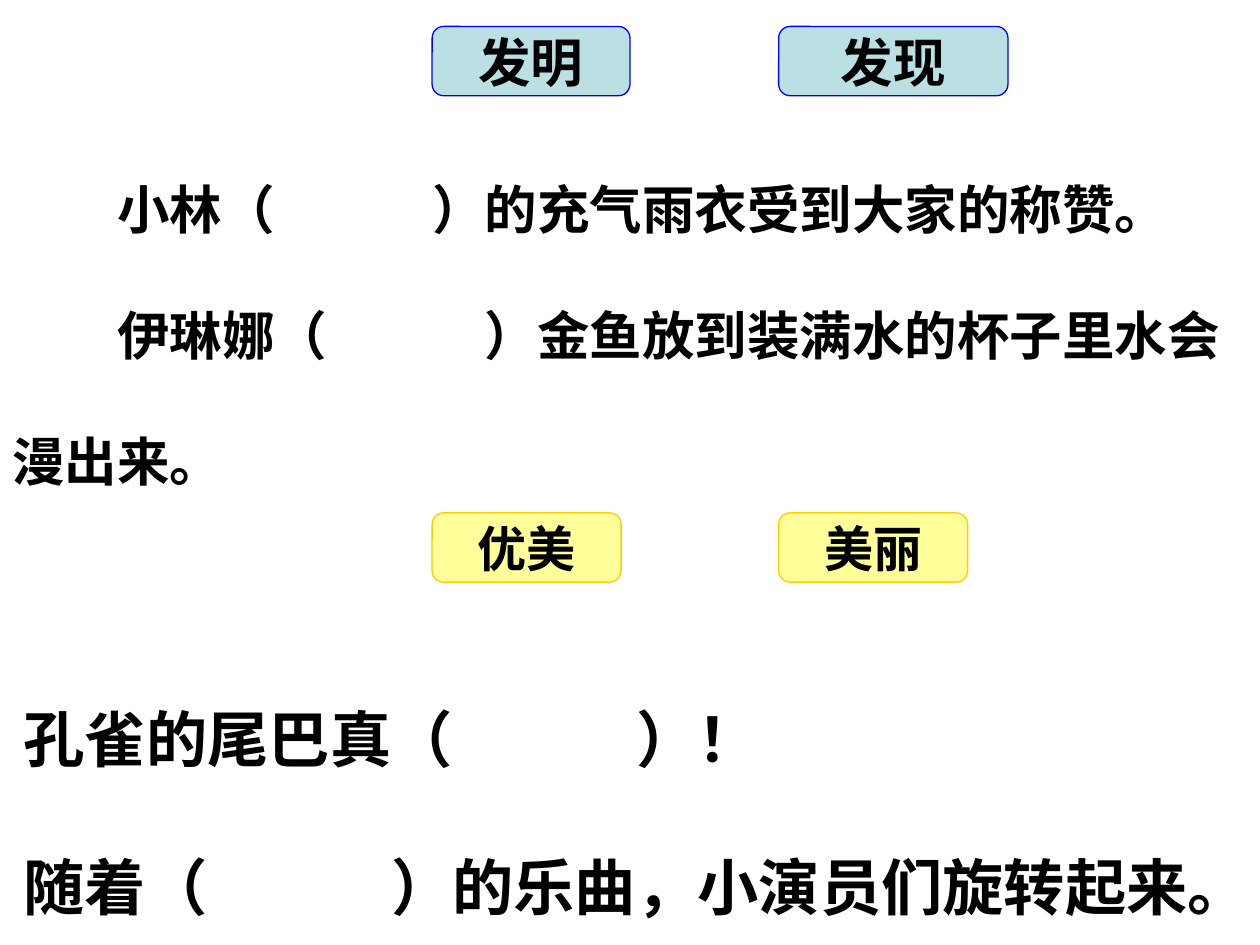
import pptx
import pptx.dml.color
import pptx.enum.shapes
import pptx.enum.text
import pptx.oxml.ns
import pptx.util
from lxml import etree

Inches = pptx.util.Inches
Pt = pptx.util.Pt
RGBColor = pptx.dml.color.RGBColor
Shape = pptx.enum.shapes.MSO_SHAPE
Anchor = pptx.enum.text.MSO_ANCHOR
Align = pptx.enum.text.PP_ALIGN

BLACK = RGBColor(0x00, 0x00, 0x00)
WHITE = RGBColor(0xFF, 0xFF, 0xFF)
PALE_TEAL = RGBColor(0xBB, 0xE0, 0xE3)
BLUE = RGBColor(0x00, 0x00, 0xFF)
PALE_YELLOW = RGBColor(0xFF, 0xFF, 0x99)
GOLD = RGBColor(0xFF, 0xCC, 0x00)

INDENT_WIDTH = 2
BLANK_WIDTH = 3
LINE_RATIO = 1.2


def add_text(para, text, size):
    span = para.add_run()
    span.text = text
    span.font.name = "Arial"
    span.font.size = Pt(size)
    span.font.bold = True
    span.font.color.rgb = BLACK


def add_tab_stops(para, text, size):
    properties = para._p.get_or_add_pPr()
    tabs = etree.SubElement(properties, pptx.oxml.ns.qn("a:tabLst"))
    position = 0
    for part in text.split("\t")[:-1]:
        position += len(part) + BLANK_WIDTH if part else INDENT_WIDTH
        etree.SubElement(tabs, pptx.oxml.ns.qn("a:tab"),
                         pos=str(Pt(position * size)), algn="l")


def add_word_card(page, word, left, top, width, size, fill, line):
    card = page.shapes.add_shape(
        Shape.FLOWCHART_ALTERNATE_PROCESS,
        Inches(left), Inches(top), Inches(width), Inches(0.55))
    card.shadow.inherit = False
    card.fill.solid()
    card.fill.fore_color.rgb = fill
    card.line.color.rgb = line
    card.line.width = Pt(0.75)
    frame = card.text_frame
    frame.word_wrap = False
    frame.vertical_anchor = Anchor.MIDDLE
    para = frame.paragraphs[0]
    para.alignment = Align.CENTER
    add_text(para, word, size)


def fill_sentences(box, sentences, size):
    frame = box.text_frame
    frame.word_wrap = True
    frame.vertical_anchor = Anchor.TOP
    frame.margin_right = 0
    for index, text in enumerate(sentences):
        para = frame.add_paragraph() if index else frame.paragraphs[0]
        para.alignment = Align.LEFT
        if index:
            para.space_before = Pt(size * LINE_RATIO)
        if "\t" in text:
            add_tab_stops(para, text, size)
        add_text(para, text, size)


def add_sentence_box(page, left, top, width, height, sentences, size):
    box = page.shapes.add_textbox(
        Inches(left), Inches(top), Inches(width), Inches(height))
    fill_sentences(box, sentences, size)


def add_sentence_panel(page, left, top, width, height, sentences, size):
    panel = page.shapes.add_shape(
        Shape.RECTANGLE, Inches(left), Inches(top), Inches(width), Inches(height))
    panel.shadow.inherit = False
    panel.fill.solid()
    panel.fill.fore_color.rgb = WHITE
    panel.line.fill.background()
    fill_sentences(panel, sentences, size)


def main():
    deck = pptx.Presentation()
    deck.slide_width = Inches(10)
    deck.slide_height = Inches(7.5)
    page = deck.slides.add_slide(deck.slide_layouts[6])

    for word, left, width in (("发明", 3.43, 1.57), ("发现", 6.18, 1.82)):
        add_word_card(page, word, left, 0.21, width, 30, PALE_TEAL, BLUE)
    for word, left in (("优美", 3.43), ("美丽", 6.18)):
        add_word_card(page, word, left, 4.07, 1.5, 28, PALE_YELLOW, GOLD)

    add_sentence_box(page, 0, 1.36, 10, 2.6, (
        "\t小林（\t）的充气雨衣受到大家的称赞。",
        "\t伊琳娜（\t）金鱼放到装满水的杯子里水会",
        "漫出来。",
    ), 30)
    add_sentence_panel(page, 0.09, 5.52, 9.93, 1.85, (
        "孔雀的尾巴真（\t）！",
        "随着（\t）的乐曲，小演员们旋转起来。",
    ), 35)

    deck.save("out.pptx")


if __name__ == "__main__":
    main()
